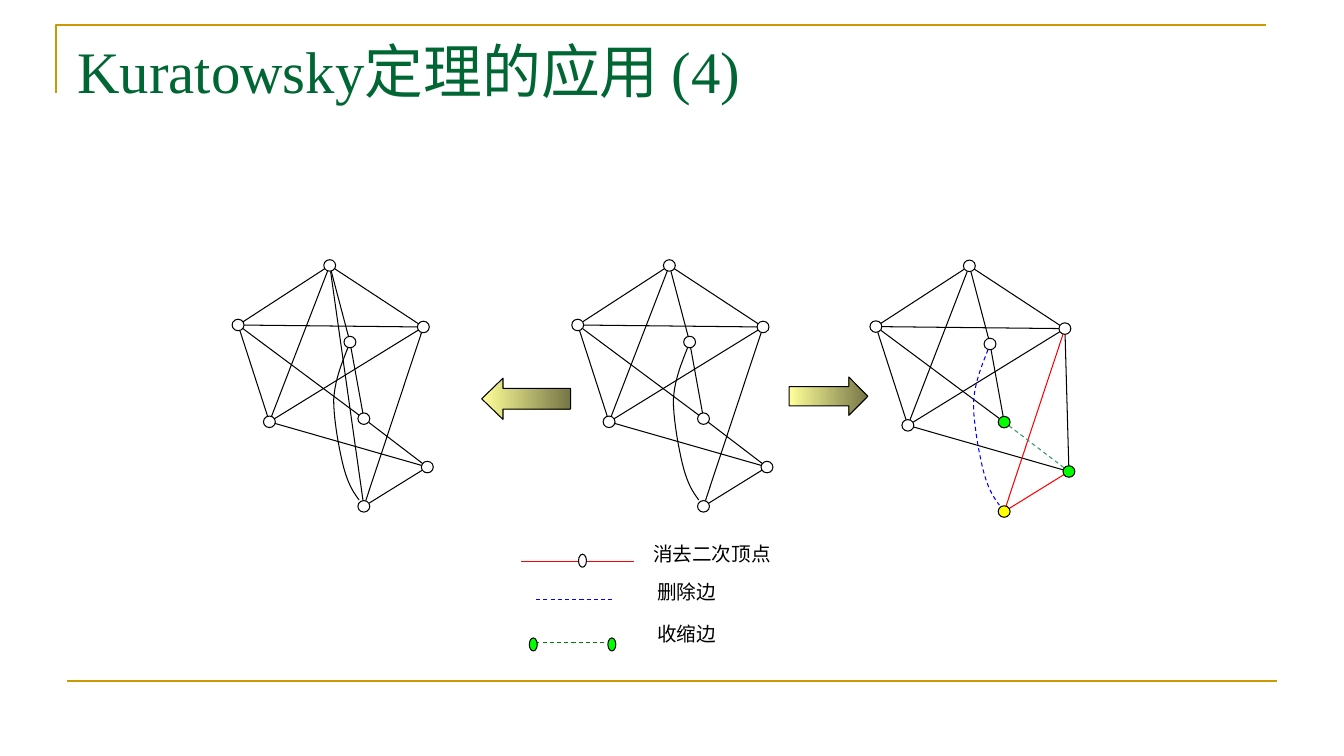
from dataclasses import dataclass
from itertools import pairwise
from math import hypot

from lxml.etree import SubElement
from pptx import Presentation
from pptx.dml.color import RGBColor
from pptx.enum.dml import MSO_LINE
from pptx.enum.shapes import MSO_CONNECTOR, MSO_SHAPE as Preset
from pptx.enum.text import PP_ALIGN as Align
from pptx.oxml.ns import qn
from pptx.util import Cm, Pt

Point = tuple[float, float]

BLACK, WHITE, RED, BLUE = "000000", "FFFFFF", "FF0000", "0000FF"
LIME, YELLOW, GOLD = "00FF00", "FFFF00", "CC9900"
NODE_WIDTH, NODE_HEIGHT = 0.3, 0.29
LEGEND_DOT = (0.2, 0.33)

NODES: dict[str, Point] = {
    "top": (0, 0),
    "left": (-2.31, 1.5),
    "right": (2.36, 1.55),
    "low_left": (-1.52, 3.94),
    "inner": (0.51, 1.93),
    "inner_low": (0.86, 3.86),
    "corner": (2.46, 5.08),
    "bottom": (0.86, 6.07),
}
EDGES = [
    ("top", "left"), ("left", "low_left"), ("top", "right"),
    ("low_left", "right"), ("left", "right"), ("top", "low_left"),
    ("low_left", "corner"), ("right", "bottom"), ("left", "inner_low"),
    ("inner_low", "corner"), ("top", "inner"), ("inner", "inner_low"),
    ("bottom", "corner"),
]
ARC: list[Point] = [
    (0.46, 2.07), (0.3, 2.48), (0.13, 2.88), (0.1, 3.39), (0.1, 3.9),
    (0.25, 4.71), (0.36, 5.12), (0.48, 5.55), (0.61, 5.73), (0.74, 5.91),
]
ARC_STEPS = 10


@dataclass(frozen=True)
class Stroke:
    color: str = BLACK
    dashed: bool = False
    width: float = 0.75


@dataclass(frozen=True)
class Graph:
    x: float
    y: float
    scale: float
    extra_edges: tuple
    edge_strokes: dict
    node_fills: dict
    arc: Stroke


@dataclass(frozen=True)
class Arrow:
    preset: Preset
    box: tuple[float, float, float, float]
    head: float


@dataclass(frozen=True)
class Label:
    text: str
    box: tuple[float, float, float, float]
    size: float = 14
    color: str = BLACK
    align: Align = Align.JUSTIFY


GRAPHS = [
    Graph(8.31, 6.69, 1, (("top", "bottom"),), {}, {}, Stroke()),
    Graph(16.87, 6.69, 1, (), {}, {}, Stroke()),
    Graph(
        24.43, 6.7, 1.02, (("right", "corner"),),
        {
            ("right", "bottom"): Stroke(RED),
            ("bottom", "corner"): Stroke(RED),
            ("inner_low", "corner"): Stroke("339966", True),
        },
        {"inner_low": LIME, "corner": LIME, "bottom": YELLOW},
        Stroke(BLUE, True),
    ),
]
ARROWS = [
    Arrow(Preset.LEFT_ARROW, (12.14, 9.53, 2.24, 1.04), 0.517),
    Arrow(Preset.RIGHT_ARROW, (19.89, 9.5, 1.98, 0.97), 0.493),
]
LABELS = [
    Label("Kuratowsky定理的应用 (4)", (1.7, 0.76, 30.48, 3.18), 42, "006633", Align.LEFT),
    Label("消去二次顶点", (16.21, 13.54, 4.52, 1.27)),
    Label("删除边", (16.31, 14.48, 3.23, 1.27)),
    Label("收缩边", (16.31, 15.54, 3.23, 1.27)),
]
LEGEND_LINES = [
    ((13.13, 14.15), (14.71, 14.15), Stroke(RED)),
    ((14.78, 14.15), (15.98, 14.15), Stroke(RED)),
    ((13.51, 15.11), (15.49, 15.11), Stroke(BLUE, True)),
    ((13.49, 16.18), (15.44, 16.18), Stroke("008000", True)),
]
LEGEND_DOTS = [((14.68, 14.13), WHITE), ((13.44, 16.24), LIME), ((15.42, 16.24), LIME)]


def rgb(color: str) -> RGBColor:
    return RGBColor.from_string(color)


def apply_stroke(line, stroke: Stroke) -> None:
    line.color.rgb = rgb(stroke.color)
    line.width = Pt(stroke.width)
    if stroke.dashed:
        line.dash_style = MSO_LINE.DASH


def add_line(page, start: Point, end: Point, stroke: Stroke) -> None:
    line = page.shapes.add_connector(
        MSO_CONNECTOR.STRAIGHT, *(Cm(value) for value in start + end)
    )
    apply_stroke(line.line, stroke)
    SubElement(line._element.spPr, qn("a:effectLst"))


def add_path(page, points: list[Point], stroke: Stroke) -> None:
    corners = [(Cm(x), Cm(y)) for x, y in points]
    builder = page.shapes.build_freeform(*corners[0])
    builder.add_line_segments(corners[1:], close=False)
    outline = builder.convert_to_shape()
    outline.shadow.inherit = False
    outline.fill.background()
    apply_stroke(outline.line, stroke)


def add_dot(page, center: Point, width: float, height: float, fill: str) -> None:
    x, y = center
    dot = page.shapes.add_shape(
        Preset.OVAL, Cm(x - width / 2), Cm(y - height / 2), Cm(width), Cm(height)
    )
    dot.shadow.inherit = False
    dot.fill.solid()
    dot.fill.fore_color.rgb = rgb(fill)
    apply_stroke(dot.line, Stroke())


def add_arrow(page, arrow: Arrow) -> None:
    shape = page.shapes.add_shape(arrow.preset, *(Cm(value) for value in arrow.box))
    shape.shadow.inherit = False
    shape.adjustments[0], shape.adjustments[1] = 0.5, arrow.head
    shape.fill.gradient()
    shape.fill.gradient_angle = 0
    for stop, color in zip(shape.fill.gradient_stops, ("FFFF99", "767647")):
        stop.color.rgb = rgb(color)
    apply_stroke(shape.line, Stroke())


def add_label(page, label: Label) -> None:
    box = page.shapes.add_textbox(*(Cm(value) for value in label.box))
    box.text_frame.word_wrap = True
    para = box.text_frame.paragraphs[0]
    para.text = label.text
    para.alignment = label.align
    para.font.name = "Times New Roman"
    para.font.size = Pt(label.size)
    para.font.color.rgb = rgb(label.color)


def trim(start: Point, end: Point, gap: float) -> tuple[Point, Point]:
    (x1, y1), (x2, y2) = start, end
    ratio = gap / hypot(x2 - x1, y2 - y1)
    dx, dy = (x2 - x1) * ratio, (y2 - y1) * ratio
    return (x1 + dx, y1 + dy), (x2 - dx, y2 - dy)


def smooth(controls: list[Point]) -> list[Point]:
    points = [controls[0]]
    for first, last in pairwise(range(0, len(controls), 3)):
        a, b, c, d = controls[first:last + 1]
        for step in range(1, ARC_STEPS + 1):
            t = step / ARC_STEPS
            weights = ((1 - t) ** 3, 3 * t * (1 - t) ** 2, 3 * t * t * (1 - t), t ** 3)
            points.append(tuple(
                sum(w * p[axis] for w, p in zip(weights, (a, b, c, d))) for axis in (0, 1)
            ))
    return points


def draw_graph(page, graph: Graph) -> None:
    def place(point: Point) -> Point:
        return graph.x + point[0] * graph.scale, graph.y + point[1] * graph.scale

    for edge in (*EDGES, *graph.extra_edges):
        start, end = (place(NODES[name]) for name in edge)
        stroke = graph.edge_strokes.get(edge, Stroke())
        add_line(page, *trim(start, end, NODE_WIDTH / 2), stroke)
    add_path(page, [place(point) for point in smooth(ARC)], graph.arc)
    for name, point in NODES.items():
        fill = graph.node_fills.get(name, WHITE)
        add_dot(page, place(point), NODE_WIDTH, NODE_HEIGHT, fill)


def main() -> None:
    deck = Presentation()
    deck.slide_width, deck.slide_height = Cm(33.87), Cm(19.05)
    page = deck.slides.add_slide(deck.slide_layouts[6])
    frame = Stroke(GOLD, width=1.5)
    add_path(page, [(1.42, 2.34), (1.42, 0.64), (31.9, 0.64)], frame)
    add_line(page, (1.7, 17.15), (32.18, 17.15), frame)
    for graph in GRAPHS:
        draw_graph(page, graph)
    for arrow in ARROWS:
        add_arrow(page, arrow)
    for start, end, stroke in LEGEND_LINES:
        add_line(page, start, end, stroke)
    for center, fill in LEGEND_DOTS:
        add_dot(page, center, *LEGEND_DOT, fill)
    for label in LABELS:
        add_label(page, label)
    deck.save("out.pptx")


if __name__ == "__main__":
    main()
